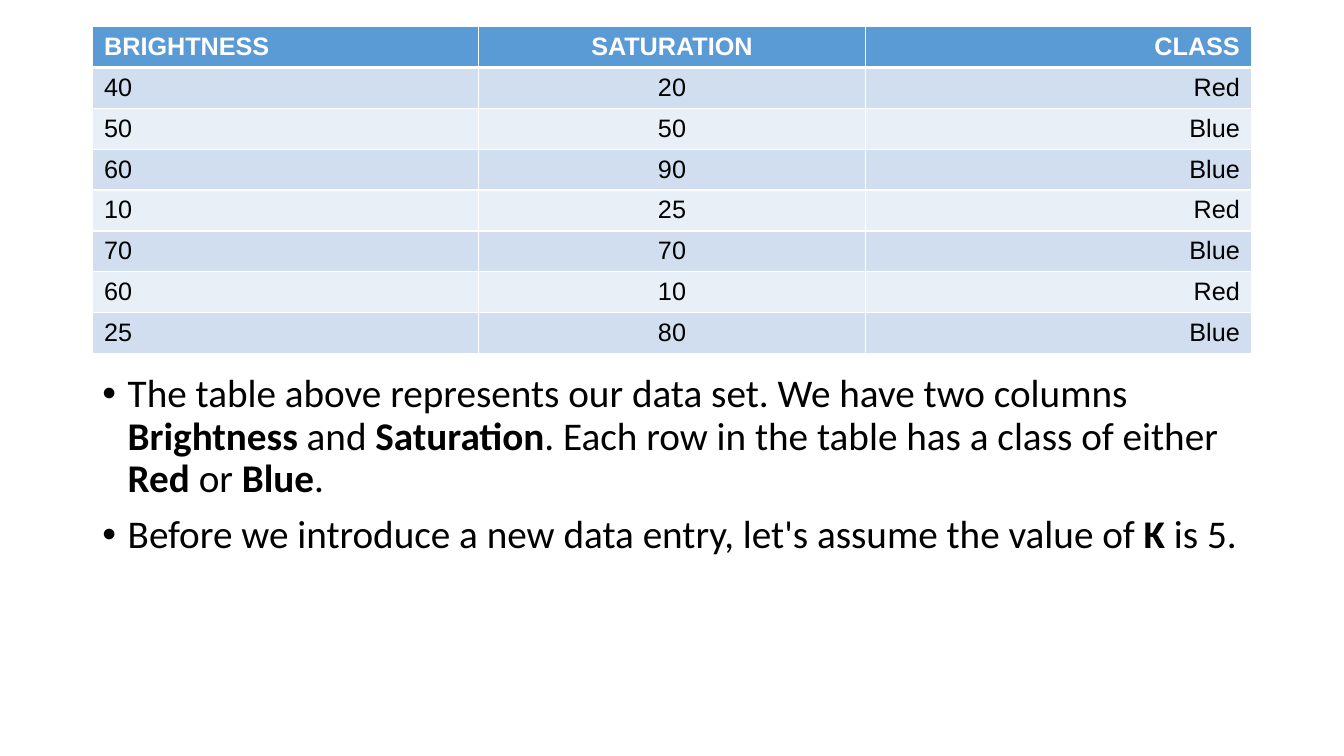
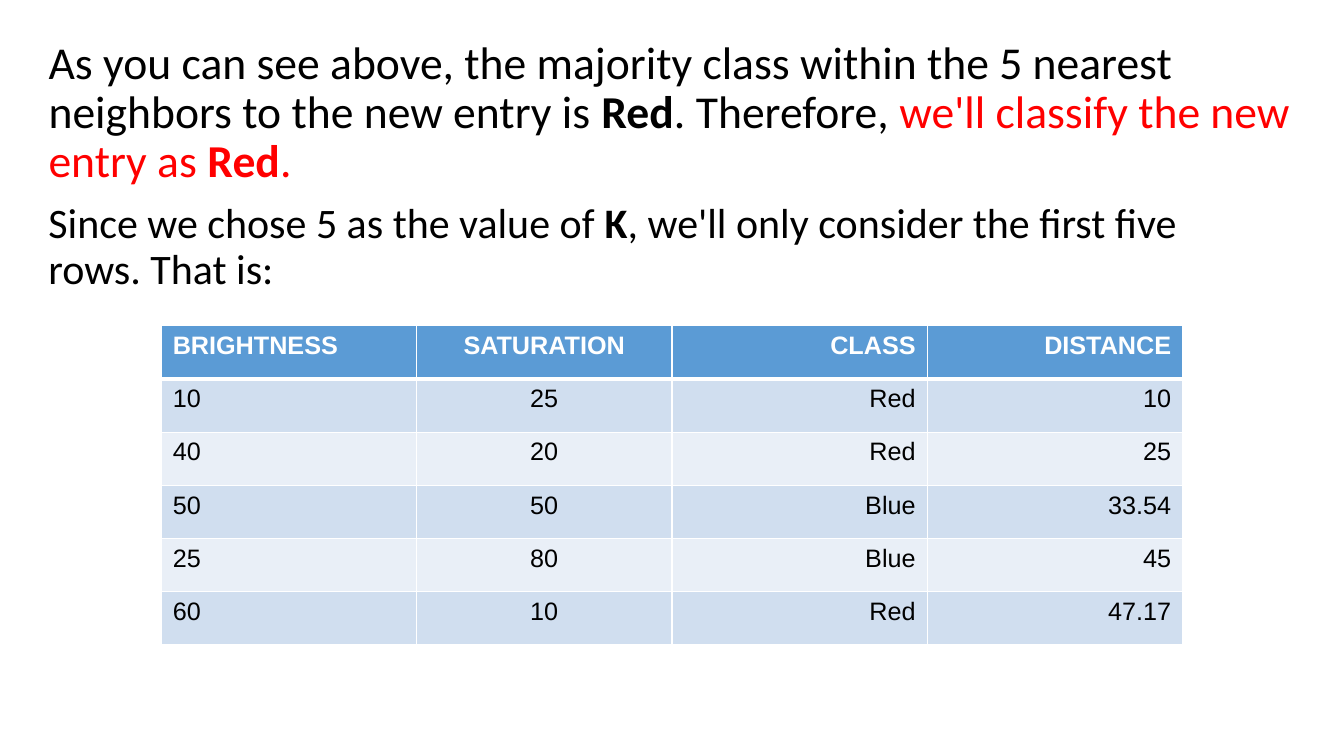
from dataclasses import dataclass

import lxml.etree
import pptx
import pptx.dml.color
import pptx.enum.text
import pptx.oxml.ns
import pptx.presentation
import pptx.shapes.autoshape
import pptx.slide
import pptx.text.text
import pptx.util

Cm = pptx.util.Cm
Pt = pptx.util.Pt
RGBColor = pptx.dml.color.RGBColor
Align = pptx.enum.text.PP_ALIGN
Anchor = pptx.enum.text.MSO_ANCHOR
qn = pptx.oxml.ns.qn

BLACK = RGBColor(0x00, 0x00, 0x00)
WHITE = RGBColor(0xFF, 0xFF, 0xFF)
RED = RGBColor(0xFF, 0x00, 0x00)
HEADER_BLUE = RGBColor(0x5B, 0x9B, 0xD5)
BANDS = (RGBColor(0xD0, 0xDE, 0xEF), RGBColor(0xE9, 0xEF, 0xF7))

TEXT_FONT = "Calibri"
TABLE_FONT = "Arial"
SLIDE_WIDTH = Cm(33.87)
SLIDE_HEIGHT = Cm(19.05)
BULLET_INDENT = Cm(0.64)
THIN, THICK = Pt(1), Pt(3)
TITLE_ONLY, BLANK = 5, 6


@dataclass(frozen=True)
class Span:
    """A stretch of text with its emphasis."""

    text: str
    bold: bool = False
    color: RGBColor = BLACK


@dataclass(frozen=True)
class Box:
    """A position and size in centimetres."""

    left: float
    top: float
    width: float
    height: float


@dataclass(frozen=True)
class DataTable:
    """A horizontally centred table with a header row."""

    top: float
    column_width: float
    row_height: float
    alignments: tuple[Align, ...]
    rows: tuple[tuple[str, ...], ...]


OBSERVATIONS = DataTable(
    0.67, 9.74, 1.03,
    (Align.LEFT, Align.CENTER, Align.RIGHT),
    (
        ("BRIGHTNESS", "SATURATION", "CLASS"),
        ("40", "20", "Red"),
        ("50", "50", "Blue"),
        ("60", "90", "Blue"),
        ("10", "25", "Red"),
        ("70", "70", "Blue"),
        ("60", "10", "Red"),
        ("25", "80", "Blue"),
    ),
)
NEIGHBORS = DataTable(
    8.21, 6.44, 1.34,
    (Align.LEFT, Align.CENTER, Align.RIGHT, Align.RIGHT),
    (
        ("BRIGHTNESS", "SATURATION", "CLASS", "DISTANCE"),
        ("10", "25", "Red", "10"),
        ("40", "20", "Red", "25"),
        ("50", "50", "Blue", "33.54"),
        ("25", "80", "Blue", "45"),
        ("60", "10", "Red", "47.17"),
    ),
)
DATA_SET_POINTS = (
    (
        Span("The table above represents our data set. We have two columns  "),
        Span("Brightness ", True),
        Span("and "),
        Span("Saturation", True),
        Span(". Each row in the table has a class of either "),
        Span("Red ", True),
        Span("or "),
        Span("Blue", True),
        Span("."),
    ),
    (
        Span("Before we introduce a new data entry, let's assume the value of "),
        Span("K ", True),
        Span("is 5."),
    ),
)
CONCLUSION = (
    Span("As you can see above, the majority class within the 5 nearest "
         "neighbors to the new entry is "),
    Span("Red", True),
    Span(". Therefore, "),
    Span("we'll classify the new entry as ", color=RED),
    Span("Red", True, RED),
    Span(".", color=RED),
)
CHOICE_OF_K = (
    Span("Since we chose 5 as the value of "),
    Span("K", True),
    Span(", we'll only consider the first five rows. That is:"),
)


def add_bullet(paragraph: pptx.text.text._Paragraph) -> None:
    """Give a paragraph a hanging round bullet."""
    properties = paragraph._p.get_or_add_pPr()
    properties.set("marL", str(BULLET_INDENT))
    properties.set("indent", str(-BULLET_INDENT))
    lxml.etree.SubElement(properties, qn("a:buFont"), typeface="Arial")
    lxml.etree.SubElement(properties, qn("a:buChar"), char="•")


def write_paragraphs(
    shape: pptx.shapes.autoshape.Shape,
    paragraphs: tuple[tuple[Span, ...], ...],
    size: float,
    bulleted: bool = False,
) -> None:
    """Fill a shape with left-aligned paragraphs of styled spans."""
    frame = shape.text_frame
    frame.word_wrap = True
    frame.auto_size = pptx.enum.text.MSO_AUTO_SIZE.NONE
    for index, spans in enumerate(paragraphs):
        paragraph = frame.add_paragraph() if index else frame.paragraphs[0]
        if bulleted:
            add_bullet(paragraph)
        paragraph.alignment = Align.LEFT
        paragraph.line_spacing = 0.9
        paragraph.space_before = Pt(10 if index else 0)
        paragraph.font.name = TEXT_FONT
        paragraph.font.size = Pt(size)
        for span in spans:
            run = paragraph.add_run()
            run.text = span.text
            run.font.bold = span.bold
            run.font.color.rgb = span.color


def place(shape: pptx.shapes.autoshape.Shape, box: Box) -> None:
    """Move and size a shape."""
    shape.left, shape.top = Cm(box.left), Cm(box.top)
    shape.width, shape.height = Cm(box.width), Cm(box.height)


def add_text(slide: pptx.slide.Slide, box: Box) -> pptx.shapes.autoshape.Shape:
    """Add an empty text box."""
    return slide.shapes.add_textbox(
        Cm(box.left), Cm(box.top), Cm(box.width), Cm(box.height))


def set_borders(cell: pptx.table._Cell, row: int) -> None:
    """Draw white cell borders, thick between header and body."""
    widths = {
        "L": THIN,
        "R": THIN,
        "T": THICK if row == 1 else THIN,
        "B": THICK if row == 0 else THIN,
    }
    properties = cell._tc.get_or_add_tcPr()
    for side, width in widths.items():
        line = lxml.etree.SubElement(properties, qn(f"a:ln{side}"), w=str(width))
        fill = lxml.etree.SubElement(line, qn("a:solidFill"))
        lxml.etree.SubElement(fill, qn("a:srgbClr"), val=str(WHITE))


def add_data_table(slide: pptx.slide.Slide, data: DataTable) -> None:
    """Add a banded table centred across the slide."""
    row_count, column_count = len(data.rows), len(data.alignments)
    width = Cm(data.column_width * column_count)
    table = slide.shapes.add_table(
        row_count, column_count, (SLIDE_WIDTH - width) // 2, Cm(data.top),
        width, Cm(data.row_height * row_count)).table
    table.horz_banding = False
    for column in table.columns:
        column.width = Cm(data.column_width)
    for row, values in enumerate(data.rows):
        table.rows[row].height = Cm(data.row_height)
        for column, value in enumerate(values):
            cell = table.cell(row, column)
            set_borders(cell, row)
            cell.fill.solid()
            cell.fill.fore_color.rgb = BANDS[(row - 1) % 2] if row else HEADER_BLUE
            cell.margin_left = cell.margin_right = Cm(0.3)
            cell.margin_top = cell.margin_bottom = Cm(0.15)
            cell.text = value
            paragraph = cell.text_frame.paragraphs[0]
            paragraph.alignment = data.alignments[column]
            paragraph.font.name = TABLE_FONT
            paragraph.font.size = Pt(18)
            paragraph.font.bold = row == 0
            paragraph.font.color.rgb = BLACK if row else WHITE


def add_data_set_slide(presentation: pptx.presentation.Presentation) -> None:
    """Show the data set and explain its columns."""
    slide = presentation.slides.add_slide(presentation.slide_layouts[BLANK])
    add_data_table(slide, OBSERVATIONS)
    points = add_text(slide, Box(2.33, 9.3, 29.21, 5.28))
    write_paragraphs(points, DATA_SET_POINTS, 28, bulleted=True)


def add_result_slide(presentation: pptx.presentation.Presentation) -> None:
    """Show the nearest neighbors and the resulting class."""
    slide = presentation.slides.add_slide(presentation.slide_layouts[TITLE_ONLY])
    title = slide.shapes.title
    place(title, Box(0.97, 1.02, 31.93, 3.68))
    title.text_frame.vertical_anchor = Anchor.MIDDLE
    write_paragraphs(title, (CONCLUSION,), 32.6)
    choice = add_text(slide, Box(0.97, 4.98, 31.42, 2.57))
    write_paragraphs(choice, (CHOICE_OF_K,), 30)
    add_data_table(slide, NEIGHBORS)


def main() -> None:
    """Build and save the presentation."""
    presentation = pptx.Presentation()
    presentation.slide_width = SLIDE_WIDTH
    presentation.slide_height = SLIDE_HEIGHT
    add_data_set_slide(presentation)
    add_result_slide(presentation)
    presentation.save("out.pptx")


if __name__ == "__main__":
    main()
